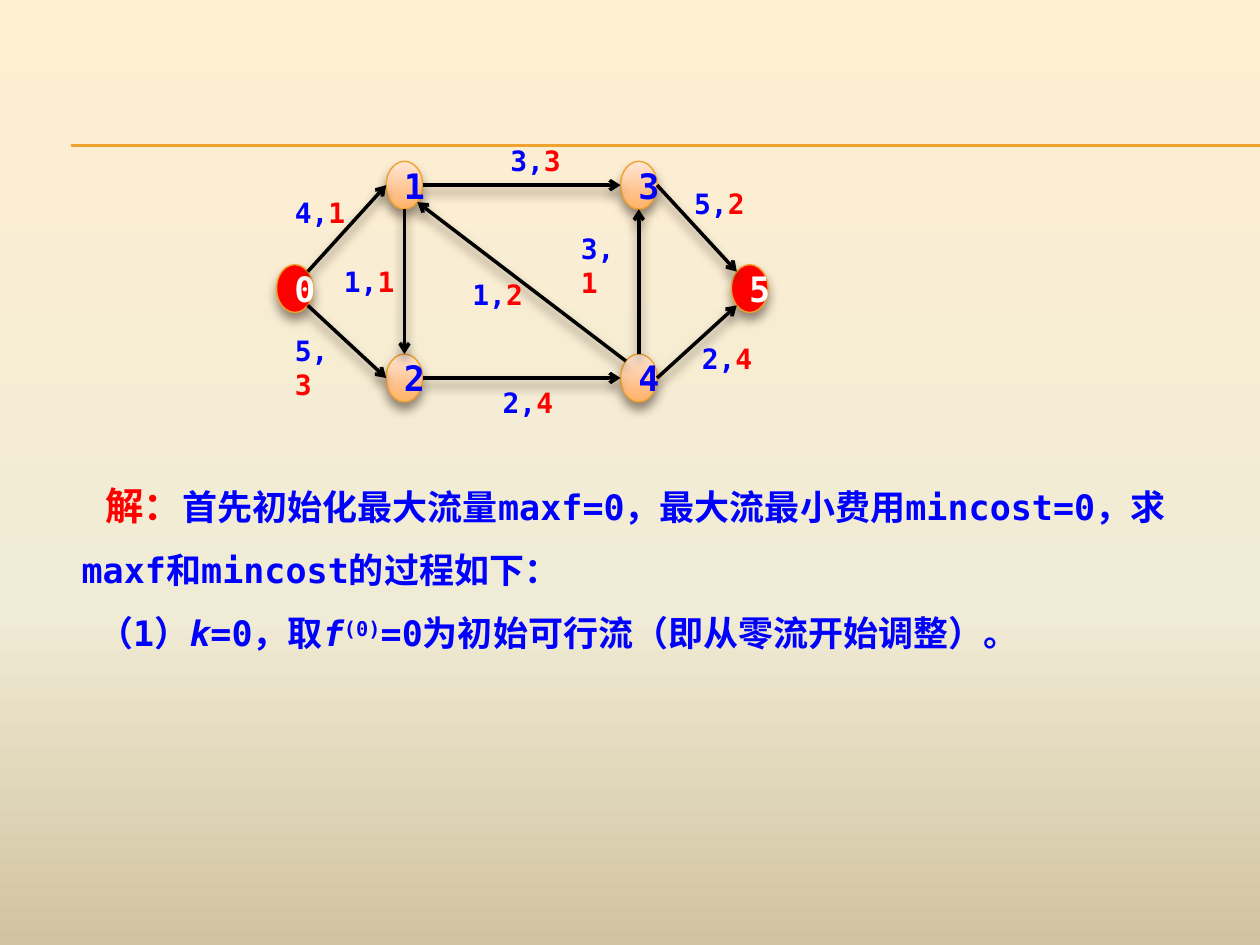
from math import cos, sin, radians
from pptx import Presentation
from pptx.dml.color import RGBColor
from pptx.enum.shapes import MSO_CONNECTOR, MSO_SHAPE
from pptx.enum.text import MSO_ANCHOR, PP_ALIGN
from pptx.oxml import parse_xml
from pptx.oxml.ns import qn
from pptx.util import Inches, Pt

LINE, OVAL = MSO_CONNECTOR.STRAIGHT, MSO_SHAPE.OVAL
MIDDLE, CENTER = MSO_ANCHOR.MIDDLE, PP_ALIGN.CENTER
NS = 'xmlns:a="http://schemas.openxmlformats.org/drawingml/2006/main"'
NONE = f'<a:effectLst {NS}/>'
SHADOW = (f'<a:effectLst {NS}><a:outerShdw blurRad="{Pt(6)}" dist="{Pt(4)}" '
          'dir="5400000" rotWithShape="0"><a:srgbClr val="4E3B30">'
          '<a:alpha val="60000"/></a:srgbClr></a:outerShdw></a:effectLst>')
ARROW = f'<a:tailEnd {NS} type="arrow"/>'
BLUE, RED, WHITE, BLACK, GOLD = "0000FF", "FF0000", "FFFFFF", "000000", "F0A22E"
rgb = RGBColor.from_string


def write(par, text, size, color, **form):
    run = par.add_run()
    run.text = text
    form = {"name": "DejaVu Sans Mono", "size": Pt(size), "bold": True, **form}
    for key, val in form.items():
        setattr(run.font, key, val)
    run.font.color.rgb = rgb(color)
    return run


def join(start, end, color, width, effect):
    """Draw a line between two points given in inches."""
    line = slide.shapes.add_connector(LINE, *map(Inches, start + end))
    line.line.color.rgb = rgb(color)
    line.line.width = Pt(width)
    line.element.spPr.append(parse_xml(effect))
    return line


deck = Presentation()
deck.slide_width, deck.slide_height = Inches(10), Inches(7.5)
slide = deck.slides.add_slide(deck.slide_layouts[6])
slide.background.fill.solid()
grads = [(slide.element.find(".//" + qn("p:bgPr")),
          [(0, "FFEFD1"), (65, "F0EBD5"), (100, "D1C39F")])]

# Rule across the top
for y in (1.15, 1.16):
    join((0.56, y), (10, y), GOLD, 0.75, NONE)

# Solution text
box = slide.shapes.add_textbox(Inches(0.55), Inches(3.59), Inches(9.06), Inches(1.67))
frame = box.text_frame
frame.word_wrap = True
head, step = frame.paragraphs[0], frame.add_paragraph()
for par, indent in ((head, 0.19), (step, 0.13)):
    par.line_spacing = 1.5
    par._p.get_or_add_pPr().set("indent", str(Inches(indent)))
write(head, "解：", 22, RED)
write(head, "首先初始化最大流量maxf=0，最大流最小费用mincost=0，求maxf和mincost的过程如下：", 20, BLUE)
write(step, "（1）", 20, BLUE)
write(step, "k", 20, BLUE, italic=True)
write(step, "=0，取", 20, BLUE)
write(step, "f", 20, BLUE, italic=True)
power = write(step, "(0)", 20, BLUE)
power.font._element.set("baseline", "30000")
write(step, "=0为初始可行流（即从零流开始调整）。", 20, BLUE)

# Nodes of the network, by centre
WIDE, HIGH = 0.29, 0.38
nodes = [(2.34, 2.29), (3.21, 1.47), (3.21, 3), (5.07, 1.47), (5.07, 3), (5.95, 2.29)]
for num, (x, y) in enumerate(nodes):
    node = slide.shapes.add_shape(OVAL, Inches(x - WIDE / 2), Inches(y - HIGH / 2),
                                  Inches(WIDE), Inches(HIGH))
    ends = num in (0, 5)
    node.fill.solid()
    node.fill.fore_color.rgb = rgb(RED)
    node.line.color.rgb = rgb(GOLD)
    node.line.width = Pt(0.79)
    node.element.spPr.append(parse_xml(SHADOW))
    node.text_frame.vertical_anchor = MIDDLE
    par = node.text_frame.paragraphs[0]
    par.alignment = CENTER
    write(par, str(num), 20, WHITE if ends else BLUE)
    if not ends:
        grads.append((node.element.spPr,
                      [(0, "FFE7D7"), (72, "FFBE84"), (100, "FFB468")]))

# Edges: node and side for each end, sides in 45 degree steps from the top, leftwards
edges = [(0, 7, 1, 2), (1, 6, 3, 2), (0, 5, 2, 2), (2, 6, 4, 2), (3, 6, 5, 1),
         (4, 6, 5, 3), (1, 4, 2, 0), (4, 0, 3, 4), (4, 1, 1, 5)]
for one, out, two, into in edges:
    start, end = [(nodes[num][0] + WIDE / 2 * cos(radians(-90 - 45 * side)),
                   nodes[num][1] + HIGH / 2 * sin(radians(-90 - 45 * side)))
                  for num, side in ((one, out), (two, into))]
    edge = join(start, end, BLACK, 2, SHADOW)
    edge.line._get_or_add_ln().append(parse_xml(ARROW))

# Capacity and cost of each edge
labels = [(2.34, 2.65, 0.39, "5", "3"), (2.34, 1.55, 0.47, "4", "1"),
          (2.73, 2.1, 0.47, "1", "1"), (3.99, 3.06, 0.54, "2", "4"),
          (5.57, 2.71, 0.53, "2", "4"), (5.51, 1.48, 0.58, "5", "2"),
          (4.05, 1.14, 0.56, "3", "3"), (4.61, 1.84, 0.39, "3", "1"),
          (3.75, 2.2, 0.47, "1", "2")]
for x, y, wide, cap, cost in labels:
    frame = slide.shapes.add_textbox(Inches(x), Inches(y), Inches(wide),
                                     Inches(0.27)).text_frame
    frame.word_wrap = True
    for side in ("left", "top", "right", "bottom"):
        setattr(frame, "margin_" + side, 0)
    write(frame.paragraphs[0], cap + ",", 16, BLUE)
    write(frame.paragraphs[0], cost, 16, RED)

# Three-stop gradients, top to bottom
for props, stops in grads:
    marks = "".join(f'<a:gs pos="{pos * 1000}"><a:srgbClr val="{color}"/></a:gs>'
                    for pos, color in stops)
    fill = parse_xml(f'<a:gradFill {NS} rotWithShape="1"><a:gsLst>{marks}</a:gsLst>'
                     '<a:lin ang="5400000" scaled="0"/></a:gradFill>')
    props.replace(props.find(qn("a:solidFill")), fill)

deck.save("out.pptx")
